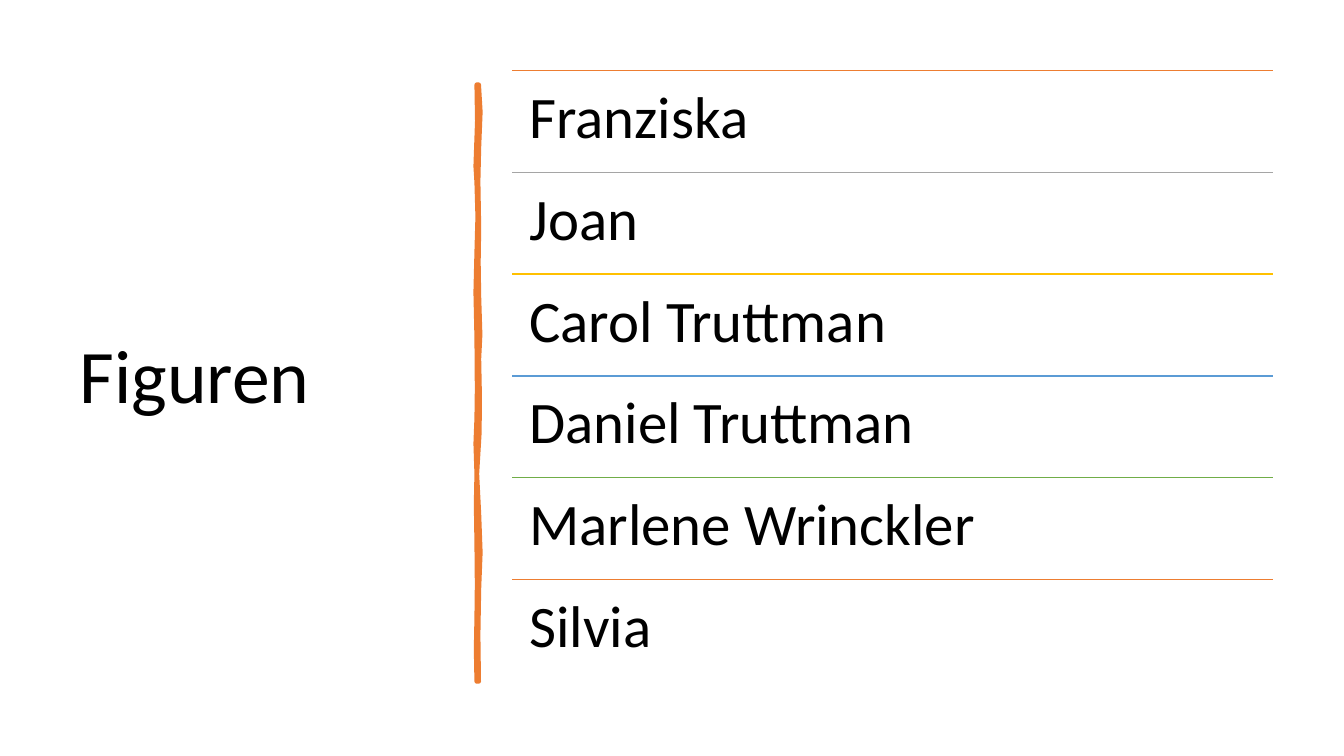
from pptx import Presentation
from pptx.dml.color import RGBColor
from pptx.enum.shapes import MSO_CONNECTOR
from pptx.enum.text import MSO_ANCHOR, MSO_AUTO_SIZE, PP_ALIGN
from pptx.oxml.ns import qn
from pptx.util import Pt
from lxml import etree

LINE = MSO_CONNECTOR.STRAIGHT
TOP, MIDDLE = MSO_ANCHOR.TOP, MSO_ANCHOR.MIDDLE
LEFT = PP_ALIGN.LEFT
FIXED = MSO_AUTO_SIZE.NONE
PX = 9144  # 100 px to the inch

BLACK = RGBColor(0x00, 0x00, 0x00)
ORANGE = RGBColor(0xED, 0x7D, 0x31)
GREY = RGBColor(0xA5, 0xA5, 0xA5)
GOLD = RGBColor(0xFF, 0xC0, 0x00)
BLUE = RGBColor(0x5B, 0x9B, 0xD5)
GREEN = RGBColor(0x70, 0xAD, 0x47)

ROWS = [
    ("Franziska", ORANGE),
    ("Joan", GREY),
    ("Carol Truttman", GOLD),
    ("Daniel Truttman", BLUE),
    ("Marlene Wrinckler", GREEN),
    ("Silvia", ORANGE),
]

# Edges of the brush stroke, in tenths of a px
RIGHT = [(4748, 840), (4764, 1110), (4750, 1460), (4742, 1800), (4750, 2260),
         (4745, 2600), (4750, 2940), (4762, 3320), (4750, 3560), (4758, 3960),
         (4754, 4300), (4730, 4700), (4750, 5100), (4764, 5480), (4750, 5840),
         (4742, 6300), (4748, 6760)]
BACK = [(4728, 6760), (4722, 6440), (4728, 6130), (4732, 5800), (4728, 5390),
        (4722, 5000), (4728, 4700), (4718, 4400), (4728, 4150), (4732, 3860),
        (4728, 3350), (4718, 2900), (4728, 2500), (4738, 2150), (4728, 1810),
        (4718, 1650), (4734, 1200), (4728, 840)]


class Board:
    def __init__(self, deck, font):
        layout = deck.slide_layouts[5]
        self.slide = deck.slides.add_slide(layout)
        self.shapes = self.slide.shapes
        self.font = font

    def label(self, frame, words, size, anchor, pad=None):
        frame.word_wrap = True
        frame.auto_size = FIXED
        frame.vertical_anchor = anchor
        if pad is not None:
            frame.margin_left = frame.margin_right = pad * PX
            frame.margin_top = frame.margin_bottom = pad * PX
        para = frame.paragraphs[0]
        para.alignment = LEFT
        para.line_spacing = 0.9
        run = para.add_run()
        run.text = words
        run.font.name = self.font
        run.font.size = Pt(size)
        run.font.color.rgb = BLACK

    def title(self, words, x, y, w, h, size):
        shape = self.shapes.title
        shape.left, shape.top = x * PX, y * PX
        shape.width, shape.height = w * PX, h * PX
        self.label(shape.text_frame, words, size, MIDDLE)

    def text(self, words, x, y, w, h, size, pad):
        box = self.shapes.add_textbox(x * PX, y * PX, w * PX, h * PX)
        self.label(box.text_frame, words, size, TOP, pad)

    def rule(self, x, y, w, color):
        line = self.shapes.add_connector(
            LINE, x * PX, y * PX, (x + w) * PX, y * PX)
        line.line.color.rgb = color
        line.line.width = Pt(1)
        etree.SubElement(line._element.spPr, qn("a:effectLst"))

    def brush(self, points, color, width):
        pen = self.shapes.build_freeform(*points[0], scale=PX / 10)
        pen.add_line_segments(points[1:], close=True)
        shape = pen.convert_to_shape()
        shape.shadow.inherit = False
        shape.fill.solid()
        shape.fill.fore_color.rgb = color
        shape.line.color.rgb = color
        shape.line.width = Pt(width)


def main():
    deck = Presentation()
    deck.slide_width, deck.slide_height = 1333 * PX, 750 * PX
    board = Board(deck, "Calibri")

    # Title and the brush stroke beside it
    board.title("Figuren", 69, 70, 374, 611, 54)
    board.brush(RIGHT + BACK, ORANGE, 3.25)

    # Names, each under its own rule
    left, top, wide, step = 508, 70, 755, 101
    for i, (name, color) in enumerate(ROWS):
        y = top + i * step
        board.rule(left, y, wide, color)
        board.text(name, left, y, wide, step, 42, 17)

    deck.save("out.pptx")


if __name__ == "__main__":
    main()
